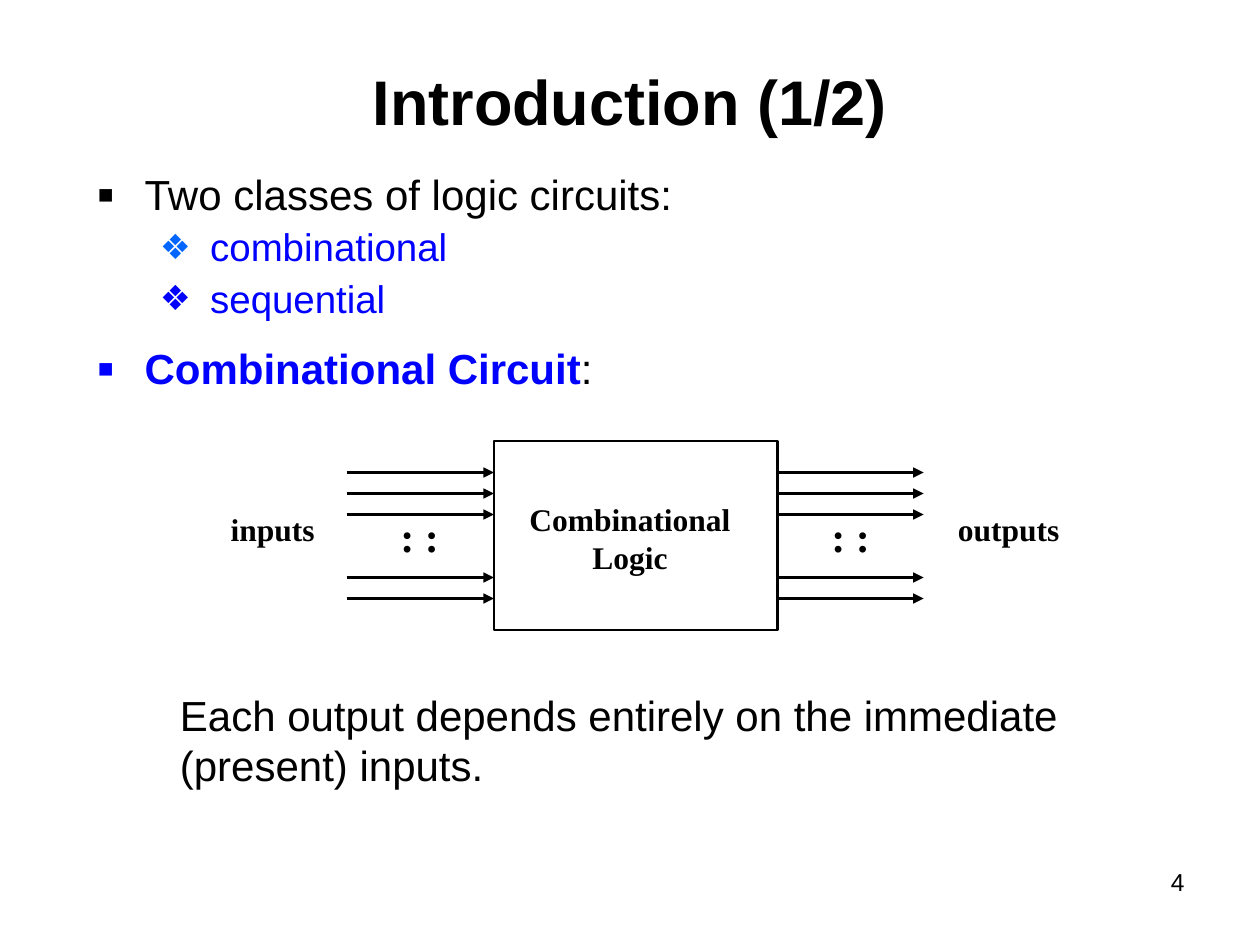
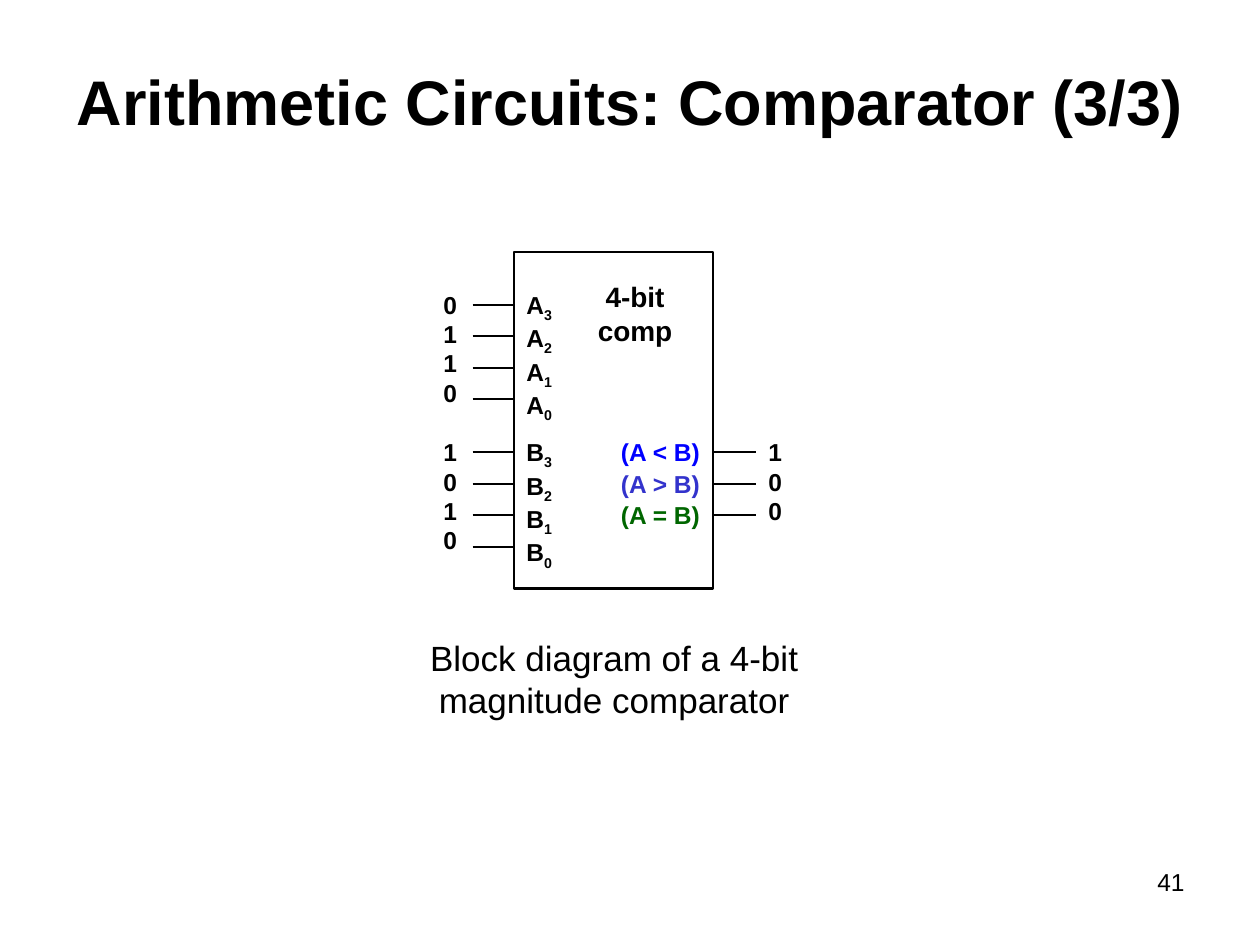
from dataclasses import dataclass

from lxml import etree
from pptx import Presentation
from pptx import util as u
from pptx.dml.color import RGBColor
from pptx.enum import shapes, text
from pptx.oxml import ns

ALIGN = text.PP_ALIGN


@dataclass(frozen=True)
class Theme:
    sans: str = "Arial"
    serif: str = "Times New Roman"
    ink: str = "000000"
    blue: str = "0000FF"
    sky: str = "0066FF"
    indigo: str = "3333CC"
    green: str = "006600"
    title: int = 36
    body: int = 24
    sub: int = 22
    note: int = 20
    block: int = 18
    name: int = 16
    pin: int = 14
    frame: float = 1.5
    wire: float = 1.25


T = Theme()


def add(parent, tag, **attrs):
    return etree.SubElement(parent, ns.qn(tag), attrs)


def style(font, size, color=T.ink, bold=False, face=T.sans):
    font.size, font.bold, font.name = u.Pt(size), bold, face
    font.color.rgb = RGBColor.from_string(color)


def area(slide, left, top, width, height):
    """Add an empty wrapping text box and return its text frame."""
    box = slide.shapes.add_textbox(*map(u.Inches, (left, top, width, height)))
    box.text_frame.word_wrap = True
    return box.text_frame


def paras(frame, count):
    return [frame.paragraphs[0]] + [frame.add_paragraph() for _ in range(count - 1)]


def label(slide, box, lines, size, align=ALIGN.LEFT, **look):
    frame = area(slide, *box)
    for para, line in zip(paras(frame, len(lines)), lines):
        para.text, para.alignment = line, align
        style(para.font, size, **look)
    return frame


def pins(slide, left, top, letter):
    frame = label(slide, (left, top, 0.48, 1.16), [letter] * 4, T.pin, bold=True)
    for para, digit in zip(frame.paragraphs, "3210"):
        run = para.add_run()
        run.text = digit
        run.font._element.set("baseline", "-25000")


def bullet(para, words, sub=False, mark=T.ink, color=T.ink, gap=0, bold=False):
    left, hang, size, sign, scale = (
        (0.9, 0.4, T.sub, "❖", 90) if sub else (0.38, 0.38, T.body, "▪", 120))
    para.text, para.line_spacing, para.space_before = words, 0.9, u.Pt(gap)
    props = para._p.get_or_add_pPr()
    props.set("marL", str(u.Inches(left)))
    props.set("indent", str(-u.Inches(hang)))
    add(add(props, "a:buClr"), "a:srgbClr", val=mark)
    add(props, "a:buSzPct", val=str(scale * 1000))
    add(props, "a:buFont", typeface=T.sans)
    add(props, "a:buChar", char=sign)
    style(para.font, size, color, bold)


def block(slide, left, top, width, height):
    box = slide.shapes.add_shape(
        shapes.MSO_SHAPE.RECTANGLE, *map(u.Inches, (left, top, width, height)))
    box.shadow.inherit = False
    box.fill.background()
    box.line.color.rgb = RGBColor.from_string(T.ink)
    box.line.width = u.Pt(T.frame)


def wire(slide, left, right, level, arrow=False):
    link = slide.shapes.add_connector(
        shapes.MSO_CONNECTOR.STRAIGHT, *map(u.Inches, (left, level, right, level)))
    link.line.color.rgb = RGBColor.from_string(T.ink)
    link.line.width = u.Pt(T.wire)
    if arrow:
        add(link.line._get_or_add_ln(), "a:tailEnd", type="triangle")
    add(link._element.spPr, "a:effectLst")


def start(deck, title, width, number):
    """Add a blank slide with its title and page number."""
    slide = deck.slides.add_slide(deck.slide_layouts[6])
    frame = label(slide, ((10 - width) / 2, 0.17, width, 1.25), [title],
                  T.title, ALIGN.CENTER, bold=True)
    frame.vertical_anchor = text.MSO_ANCHOR.MIDDLE
    label(slide, (7.17, 6.83, 2.33, 0.52), [number], T.pin, ALIGN.RIGHT)
    return slide


def intro(deck):
    slide = start(deck, "Introduction (1/2)", 8.5, "4")
    first, comb, seq, last = paras(area(slide, 0.67, 1.33, 8.5, 1.92), 4)
    bullet(first, "Two classes of logic circuits:")
    bullet(comb, "combinational", True, T.sky, T.blue, 5.5)
    bullet(seq, "sequential", True, T.blue, T.blue, 5.5)
    bullet(last, "Combinational Circuit", False, T.blue, T.blue, 15, True)
    colon = last.add_run()
    colon.text = ":"
    style(colon.font, T.body)
    label(slide, (1.33, 5.42, 7.5, 1),
          ["Each output depends entirely on the immediate (present) inputs."], T.body)

    block(slide, 3.92, 3.5, 2.25, 1.5)
    bold = dict(bold=True, face=T.serif)
    label(slide, (4, 3.92, 2, 0.7), ["Combinational", "Logic"],
          T.block, ALIGN.CENTER, **bold)
    sides = ((2.75, 3.92, 3.08, 1.58, "inputs"), (6.17, 7.33, 6.5, 7.42, "outputs"))
    for left, right, dots, side, word in sides:
        for step in (0, 1, 2, 5, 6):
            wire(slide, left, right, 3.75 + step / 6, True)
        label(slide, (dots, 4, 0.67, 0.5), [": :"], T.body, **bold)
        label(slide, (side, 4, 1.17, 0.4), [word], T.block, ALIGN.CENTER, **bold)


def compare(deck):
    slide = start(deck, "Arithmetic Circuits: Comparator (3/3)", 9.34, "41")
    block(slide, 4.08, 2, 1.58, 2.67)
    label(slide, (4.5, 2.17, 1.08, 0.64), ["4-bit comp"],
          T.name, ALIGN.CENTER, bold=True)
    pitch = 0.25
    for letter, bits, top in (("A", "0110", 2.25), ("B", "1010", 3.42)):
        pins(slide, 4.08, top, letter)
        label(slide, (3.42, top, 0.48, 1.04), bits, T.pin, bold=True)
        for row in range(4):
            wire(slide, 3.75, 4.08, top + 0.17 + row * pitch)
    tests = (("(A < B)", T.blue), ("(A > B)", T.indigo), ("(A = B)", T.green))
    for row, (test, color) in enumerate(tests):
        top = 3.42 + row * pitch
        label(slide, (4.83, top, 0.92, 0.34), [test], T.pin, color=color, bold=True)
        wire(slide, 5.67, 6, top + 0.17)
    label(slide, (6, 3.42, 0.48, 0.8), "100", T.pin, bold=True)
    label(slide, (3.25, 5, 3.25, 0.77),
          ["Block diagram of a 4-bit magnitude comparator"], T.note, ALIGN.CENTER)


def main():
    deck = Presentation()
    deck.slide_width, deck.slide_height = u.Inches(10), u.Inches(7.5)
    intro(deck)
    compare(deck)
    deck.save("out.pptx")


if __name__ == "__main__":
    main()
